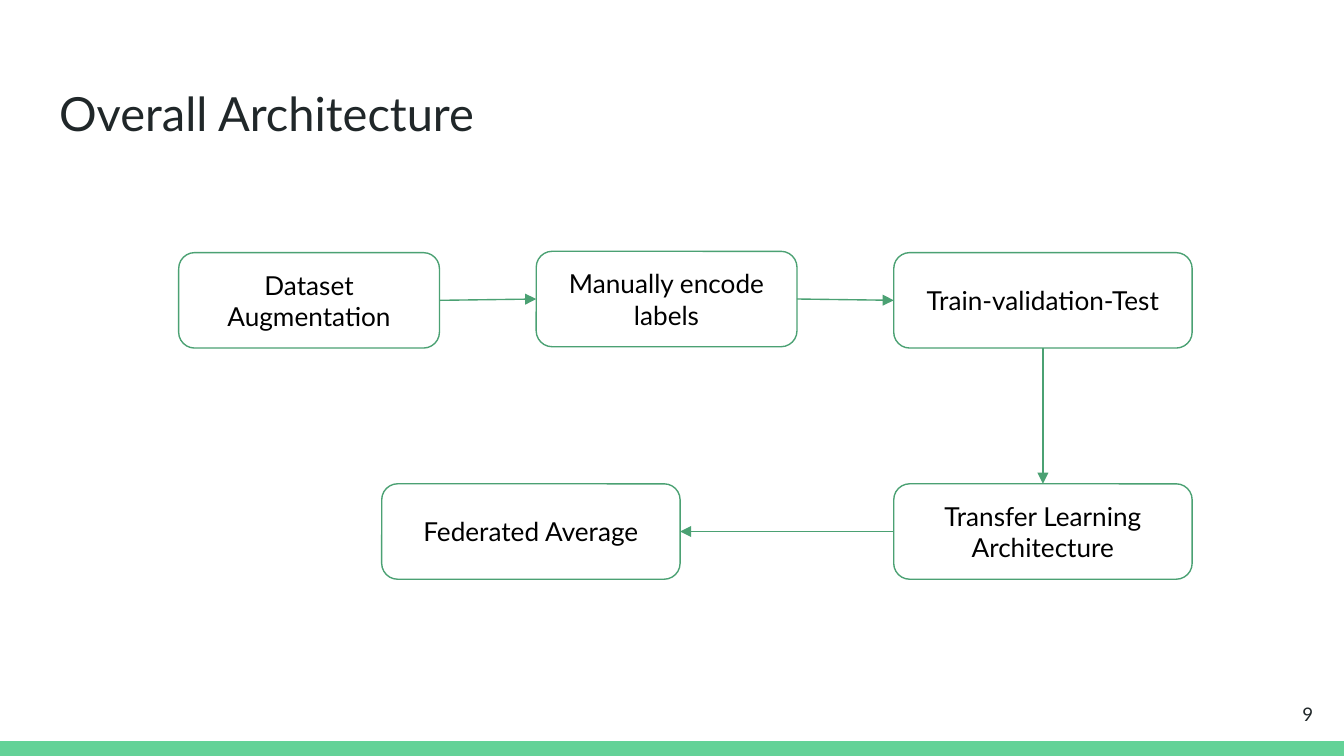
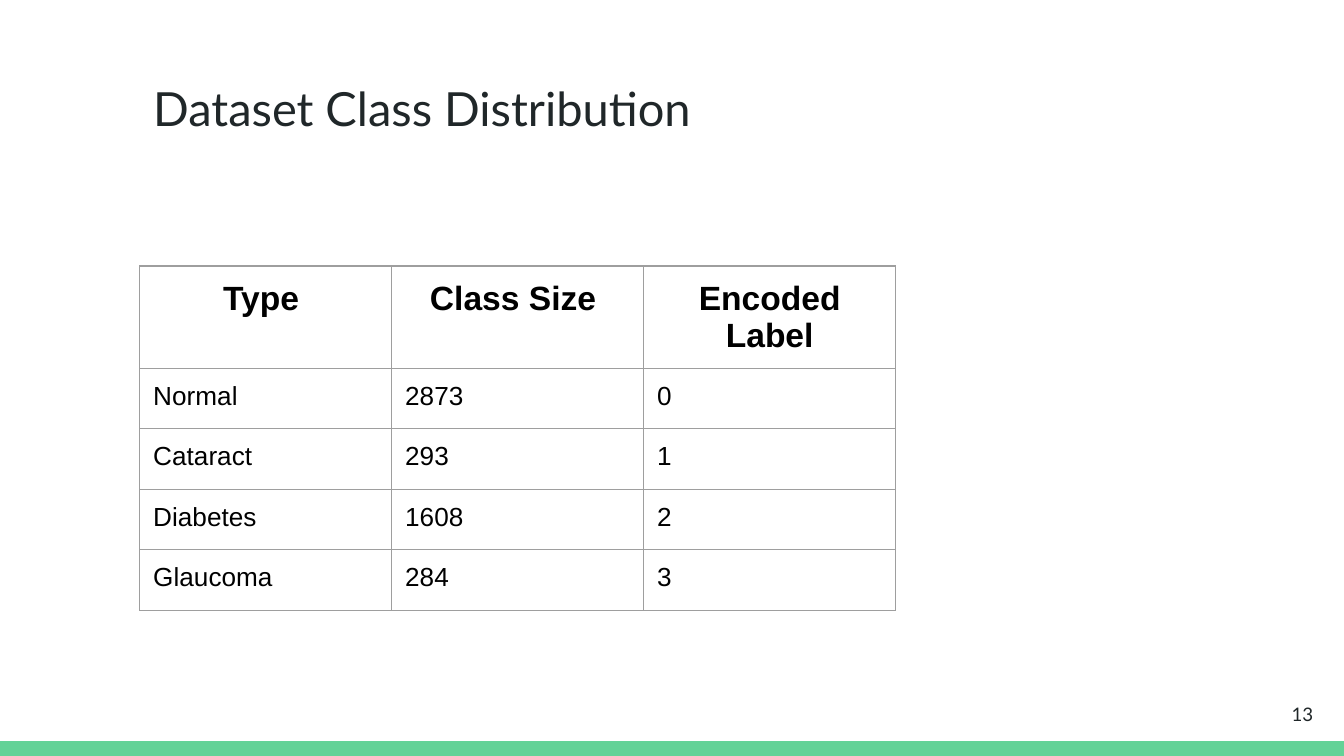
from lxml import etree
from pptx import Presentation
from pptx import util as u
from pptx.dml.color import RGBColor
from pptx.enum import shapes, text
from pptx.oxml import ns

# Content
FLOW_TITLE, FLOW_PAGE = "Overall Architecture", 9
# name: (text, left, top, width)
TOP_ROW, LOW_ROW, NARROW, WIDE = 1.88, 3.6, 1.94, 2.22
STEP = 2.66  # distance between the steps of the top row
FIRST = 1.33
STEPS = {
    "augment": ("Dataset Augmentation", FIRST, TOP_ROW, NARROW),
    "encode": ("Manually encode labels", FIRST + STEP, TOP_ROW - 0.01, NARROW),
    "split": ("Train-validation-Test", FIRST + 2 * STEP, TOP_ROW, WIDE),
    "transfer": ("Transfer Learning Architecture", FIRST + 2 * STEP, LOW_ROW, WIDE),
    "average": ("Federated Average", 2.84, LOW_ROW, WIDE),
}
TOP, LEFT, BOTTOM, RIGHT = range(4)  # connection sites of a box
ARROWS = [
    ("augment", RIGHT, "encode", LEFT),
    ("encode", RIGHT, "split", LEFT),
    ("split", BOTTOM, "transfer", TOP),
    ("transfer", LEFT, "average", RIGHT),
]

TABLE_TITLE, TABLE_PAGE = "Dataset Class Distribution", 13
CLASSES = [
    ("Type ", "Class Size ", "Encoded Label"),
    ("Normal", "2873", "0"),
    ("Cataract", "293", "1"),
    ("Diabetes", "1608", "2"),
    ("Glaucoma", "284", "3"),
]

# Shared look
W, H = 10, 5.625
BAND_H, BOX_H = 0.11, 0.71
COL_W, HEAD_H, ROW_H = 1.875, 0.76, 0.45
WHITE = RGBColor(0xFF, 0xFF, 0xFF)
BLACK = RGBColor(0, 0, 0)
INK = RGBColor(0x20, 0x27, 0x29)
BAND = RGBColor(0x63, 0xD2, 0x97)
GREEN = RGBColor(0x4B, 0xA1, 0x73)
GRID = RGBColor(0x9E, 0x9E, 0x9E)
MARGINS = {f"margin_{side}": u.Inches(0.1) for side in ("left", "top", "right", "bottom")}
TITLE = {"name": "Lato", "size": u.Pt(25.2), "bold": False}
PAGE = {"name": "Lato", "size": u.Pt(10)}
LABEL = {"name": "Lato", "size": u.Pt(14)}
HEAD = {"name": "Arial", "size": u.Pt(18), "bold": True}
CELL = {"name": "Arial", "size": u.Pt(14), "bold": False}
LINE_W = u.Pt(0.75)
ALIGN, ANCHOR = text.PP_ALIGN, text.MSO_ANCHOR


def inches(*lengths):
    return [u.Inches(v) for v in lengths]


def set_all(obj, values):
    for name, value in values.items():
        setattr(obj, name, value)


def write(tf, words, font, color, align=ALIGN.LEFT):
    p = tf.paragraphs[0]
    p.alignment = align
    r = p.add_run()
    r.text = words
    set_all(r.font, font)
    r.font.color.rgb = color


def set_frame(tf, anchor):
    set_all(tf, {**MARGINS, "word_wrap": True, "auto_size": text.MSO_AUTO_SIZE.NONE,
                 "vertical_anchor": anchor})


def add_box(slide, kind, at, fill):
    sp = slide.shapes.add_shape(kind, *inches(*at))
    sp.shadow.inherit = False
    sp.fill.solid()
    sp.fill.fore_color.rgb = fill
    sp.line.fill.background()
    return sp


def add_slide(prs, title, page, title_at):
    slide = prs.slides.add_slide(prs.slide_layouts[5])
    sp = slide.shapes.title
    set_all(sp, dict(zip(("left", "top", "width", "height"), inches(*title_at))))
    set_frame(sp.text_frame, ANCHOR.TOP)
    write(sp.text_frame, title, TITLE, INK)
    number = slide.shapes.add_textbox(*inches(9.27, 5.1, 0.6, 0.43))
    set_frame(number.text_frame, ANCHOR.MIDDLE)
    write(number.text_frame, str(page), PAGE, INK, ALIGN.RIGHT)
    return slide


def add_step(slide, words, left, top, width):
    sp = add_box(slide, shapes.MSO_SHAPE.ROUNDED_RECTANGLE, (left, top, width, BOX_H), WHITE)
    sp.line.color.rgb = GREEN
    sp.line.width = LINE_W
    set_frame(sp.text_frame, ANCHOR.MIDDLE)
    write(sp.text_frame, words, LABEL, BLACK, ALIGN.CENTER)
    return sp


def add_arrow(slide, start, start_site, end, end_site):
    arrow = slide.shapes.add_connector(shapes.MSO_CONNECTOR.STRAIGHT, 0, 0, 0, 0)
    arrow.begin_connect(start, start_site)
    arrow.end_connect(end, end_site)
    arrow.line.color.rgb = GREEN
    arrow.line.width = LINE_W
    etree.SubElement(arrow.line._get_or_add_ln(), ns.qn("a:tailEnd"), type="triangle")
    etree.SubElement(arrow.element.spPr, ns.qn("a:effectLst"))


def add_borders(cell):
    tc_pr = cell._tc.get_or_add_tcPr()
    for i, side in enumerate(("lnL", "lnR", "lnT", "lnB")):
        ln = etree.Element(ns.qn(f"a:{side}"), w=str(LINE_W))
        fill = etree.SubElement(ln, ns.qn("a:solidFill"))
        etree.SubElement(fill, ns.qn("a:srgbClr"), val=str(GRID))
        tc_pr.insert(i, ln)


def add_class_table(slide, left, top):
    rows, cols = len(CLASSES), len(CLASSES[0])
    size = cols * COL_W, HEAD_H + (rows - 1) * ROW_H
    table = slide.shapes.add_table(rows, cols, *inches(left, top, *size)).table
    set_all(table, {"first_row": False, "horz_banding": False})
    for col in table.columns:
        col.width = u.Inches(COL_W)
    for i, values in enumerate(CLASSES):
        table.rows[i].height = u.Inches(ROW_H if i else HEAD_H)
        font, align = (CELL, ALIGN.LEFT) if i else (HEAD, ALIGN.CENTER)
        for j, value in enumerate(values):
            cell = table.cell(i, j)
            set_all(cell, MARGINS)
            cell.fill.background()
            write(cell.text_frame, value, font, BLACK, align)
            add_borders(cell)


def main():
    prs = Presentation()
    prs.slide_width, prs.slide_height = inches(W, H)

    # Flow of the architecture
    slide = add_slide(prs, FLOW_TITLE, FLOW_PAGE, (0.34, 0.53, 9.32, 0.63))
    boxes = {name: add_step(slide, *step) for name, step in STEPS.items()}
    for start, start_site, end, end_site in ARROWS:
        add_arrow(slide, boxes[start], start_site, boxes[end], end_site)

    # Bottom band, moved to the layout that both slides use
    band = add_box(slide, shapes.MSO_SHAPE.RECTANGLE, (0, H - BAND_H, W, BAND_H), BAND)
    slide.slide_layout.shapes.element.insert(2, band.element)

    # Table of the classes
    slide = add_slide(prs, TABLE_TITLE, TABLE_PAGE, (1.04, 0.49, 5.62, 0.63))
    add_class_table(slide, 1.04, 1.98)

    prs.save("out.pptx")


if __name__ == "__main__":
    main()
